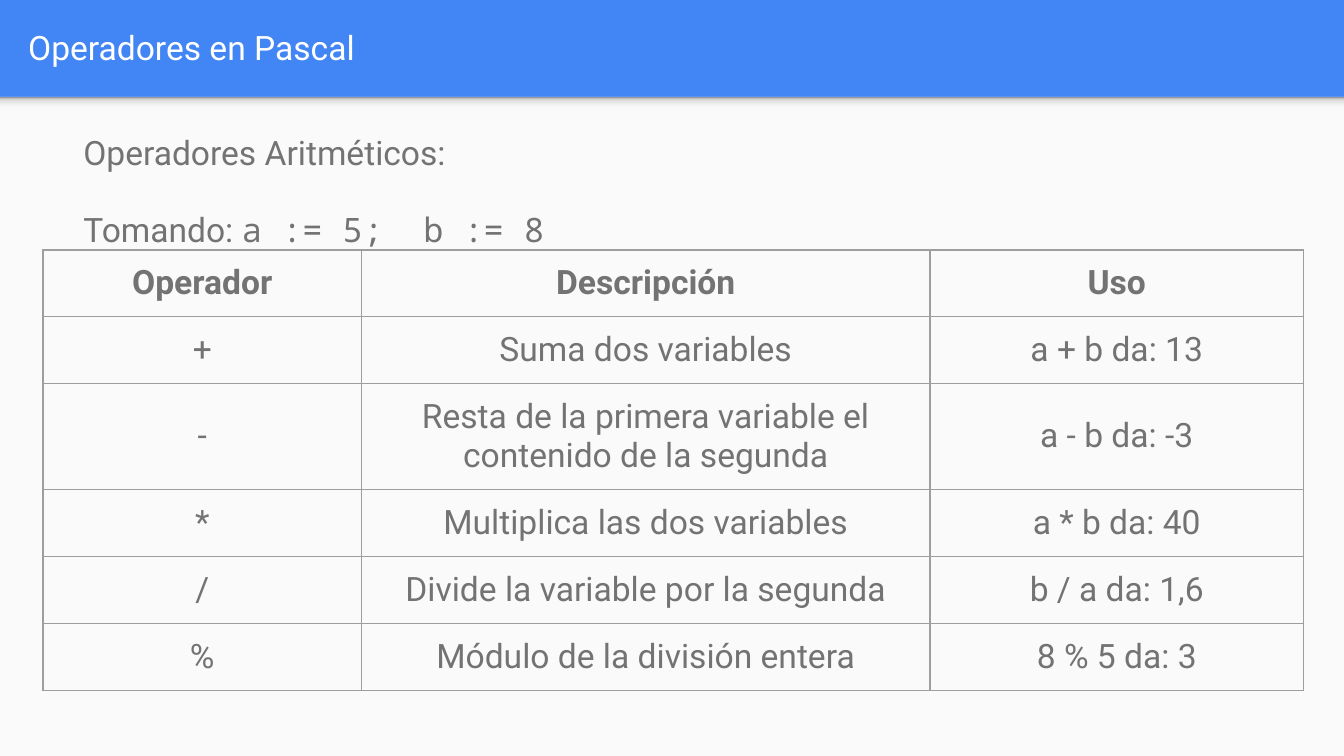
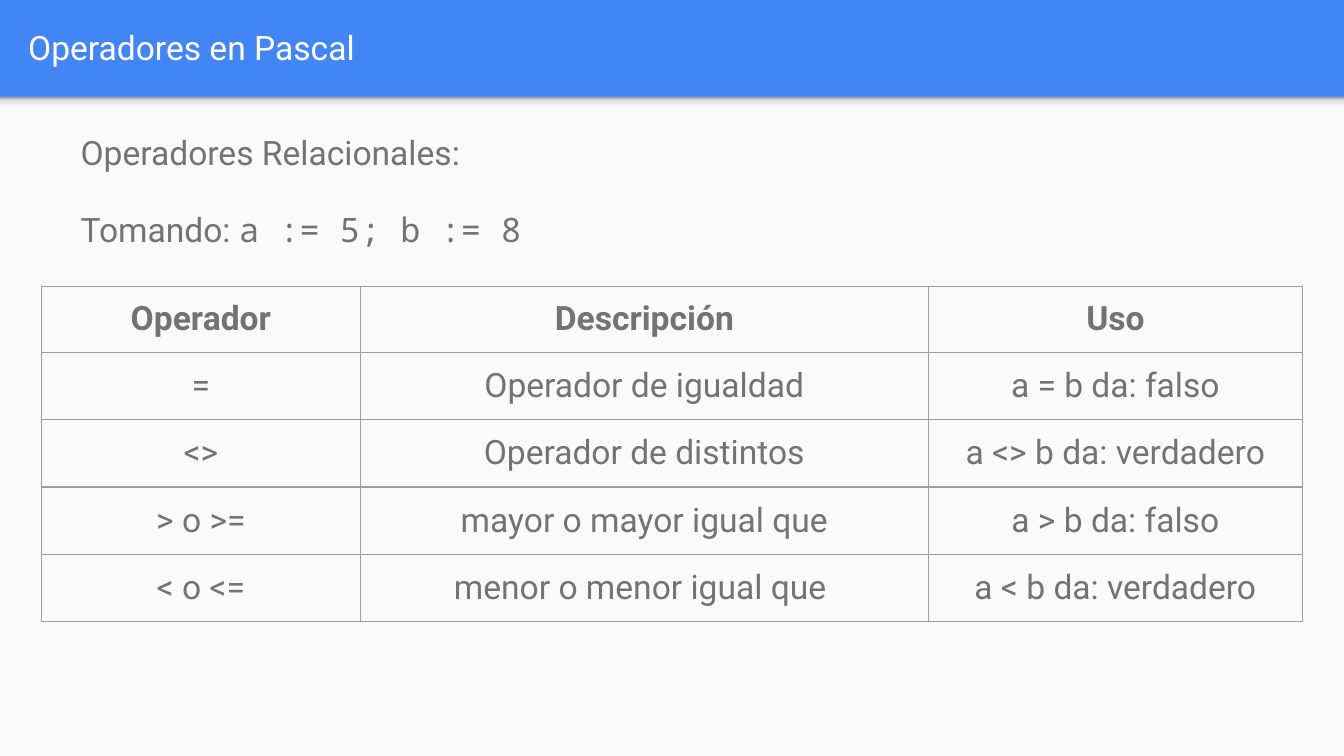
from dataclasses import dataclass
from typing import NamedTuple

from lxml.etree import SubElement
from pptx import Presentation
from pptx.dml.color import RGBColor
from pptx.enum.shapes import MSO_SHAPE
from pptx.enum.text import MSO_ANCHOR, MSO_AUTO_SIZE, PP_ALIGN
from pptx.oxml.ns import qn
from pptx.util import Inches, Pt

# Theme
BLUE, PAPER, GREY, WHITE, RULE = "4285F4", "FAFAFA", "737373", "FFFFFF", "9E9E9E"
SHADE = ((0, "F9F9F9"), (36, "F9F9F9"), (80, "DEDEDE"), (100, "999999"))
SANS, MONO = "Roboto", "Noto Sans Mono"
TEXT_SIZE = 18

# Square grid: 100 columns across, 56.25 rows down
COLS, ROWS = 100, 56.25
WIDTH = Inches(10)
UNIT = WIDTH / COLS
BAND = 7.2
PAD = 1
TABLE_COLS = (23.7, 42.3, 27.8)
HEAD_ROW, BODY_ROW = 4.2, 5


def grid(n: float) -> int:
    return round(n * UNIT)


def color(value: str) -> RGBColor:
    return RGBColor.from_string(value)


class Box(NamedTuple):
    left: float
    top: float
    width: float
    height: float

    def emu(self) -> list[int]:
        return [grid(n) for n in self]


@dataclass
class OperatorSlide:
    heading: str
    example: str
    body_left: float
    table_left: float
    table_top: float
    rows: list[tuple[str, str, str]]


TITLE = "Operadores en Pascal"
HEADER = ("Operador", "Descripción", "Uso")
TITLE_BOX = Box(1.1, 0.2, 96.5, 6.6)
SLIDES = [
    OperatorSlide("Operadores Aritméticos:", "a := 5;  b := 8", 5.2, 3.2, 18.6, [
        ("+", "Suma dos variables", "a + b da: 13"),
        ("-", "Resta de la primera variable el contenido de la segunda", "a - b da: -3"),
        ("*", "Multiplica las dos variables", "a * b da: 40"),
        ("/", "Divide la variable por la segunda", "b / a da: 1,6"),
        ("%", "Módulo de la división entera", "8 % 5 da: 3"),
    ]),
    OperatorSlide("Operadores Relacionales:", "a := 5; b := 8", 5, 3.1, 21.3, [
        ("=", "Operador de igualdad", "a = b da: falso"),
        ("<>", "Operador de distintos", "a <> b da: verdadero"),
        ("> o >=", "mayor o mayor igual que", "a > b da: falso"),
        ("< o <=", "menor o menor igual que ", "a < b da: verdadero"),
    ]),
]


def add_run(p, text: str, font: str = SANS, ink: str = GREY, bold: bool = False) -> None:
    r = p.add_run()
    r.text = text
    r.font.name, r.font.size, r.font.bold = font, Pt(TEXT_SIZE), bold
    r.font.color.rgb = color(ink)


def place(sp, box: Box, anchor: MSO_ANCHOR):
    """Position a placeholder and prepare its text frame."""
    sp.left, sp.top, sp.width, sp.height = box.emu()
    tf = sp.text_frame
    tf.word_wrap, tf.auto_size, tf.vertical_anchor = True, MSO_AUTO_SIZE.NONE, anchor
    tf.margin_left = tf.margin_right = tf.margin_top = tf.margin_bottom = grid(PAD)
    return tf


def add_rect(slide, box: Box):
    sp = slide.shapes.add_shape(MSO_SHAPE.RECTANGLE, *box.emu())
    sp.shadow.inherit = False
    sp.line.fill.background()
    return sp


def fill_gradient(sp, stops) -> None:
    sp.fill.gradient()
    sp.fill.gradient_angle = 90
    gs_list = sp.fill._fill._gradFill.find(qn("a:gsLst"))
    for gs in list(gs_list):
        gs_list.remove(gs)
    for pos, value in stops:
        gs = SubElement(gs_list, qn("a:gs"), pos=str(pos * 1000))
        SubElement(gs, qn("a:srgbClr"), val=value)


def dress_layout(layout, slide) -> None:
    """Set the background and move the panel and its shade to the layout."""
    fill = layout.background.fill
    fill.solid()
    fill.fore_color.rgb = color(BLUE)

    panel = add_rect(slide, Box(0, BAND, COLS, ROWS - BAND))
    panel.fill.solid()
    panel.fill.fore_color.rgb = color(PAPER)
    shade = add_rect(slide, Box(0, BAND, COLS, 1.2))
    fill_gradient(shade, SHADE)
    for i, sp in enumerate((panel, shade)):
        sp._element.nvSpPr.cNvPr.set("id", str(100 + i))
        layout.shapes._spTree.insert(2 + i, sp._element)


def add_borders(cell) -> None:
    tc_pr = cell._tc.get_or_add_tcPr()
    for side in ("lnL", "lnR", "lnT", "lnB"):
        ln = SubElement(tc_pr, qn(f"a:{side}"), w=str(Pt(0.75)))
        fill = SubElement(ln, qn("a:solidFill"))
        SubElement(fill, qn("a:srgbClr"), val=RULE)


def add_operator_table(slide, spec_: OperatorSlide) -> None:
    rows = [HEADER, *spec_.rows]
    heights = [HEAD_ROW] + [BODY_ROW] * len(spec_.rows)
    box = Box(spec_.table_left, spec_.table_top, sum(TABLE_COLS), sum(heights))
    table = slide.shapes.add_table(len(rows), len(HEADER), *box.emu()).table
    table.first_row = table.horz_banding = False
    for column, width in zip(table.columns, TABLE_COLS):
        column.width = grid(width)
    for i, (texts, height) in enumerate(zip(rows, heights)):
        table.rows[i].height = grid(height)
        for j, text in enumerate(texts):
            cell = table.cell(i, j)
            add_borders(cell)
            cell.fill.background()
            cell.vertical_anchor = MSO_ANCHOR.MIDDLE
            cell.margin_left = cell.margin_right = grid(PAD)
            cell.margin_top = cell.margin_bottom = grid(PAD)
            p = cell.text_frame.paragraphs[0]
            p.alignment = PP_ALIGN.CENTER
            add_run(p, text, bold=i == 0)


def add_body_line(p, gap: float, *runs: tuple[str, str]) -> None:
    p.line_spacing = 1.15
    p.space_before = p.space_after = Pt(gap)
    p_pr = p._p.get_or_add_pPr()
    p_pr.set("marL", "0")
    p_pr.set("indent", "0")
    SubElement(p_pr, qn("a:buNone"))
    for text, font in runs:
        add_run(p, text, font)


def fill_slide(slide, content: OperatorSlide) -> None:
    # Title
    p = place(slide.shapes.title, TITLE_BOX, MSO_ANCHOR.MIDDLE).paragraphs[0]
    p.alignment = PP_ALIGN.LEFT
    add_run(p, TITLE, ink=WHITE)

    # Heading and sample values
    body_box = Box(content.body_left, 8.4, 89.9, 46.5)
    tf = place(slide.placeholders[1], body_box, MSO_ANCHOR.TOP)
    add_body_line(tf.paragraphs[0], 0, (content.heading, SANS))
    add_body_line(tf.add_paragraph(), 16, ("Tomando: ", SANS), (content.example, MONO))

    # Operators
    add_operator_table(slide, content)


def main() -> None:
    prs = Presentation()
    prs.slide_width, prs.slide_height = WIDTH, grid(ROWS)
    layout = prs.slide_layouts[1]
    slides = [prs.slides.add_slide(layout) for _ in SLIDES]
    dress_layout(layout, slides[0])
    for slide, content in zip(slides, SLIDES):
        fill_slide(slide, content)
    prs.save("out.pptx")


if __name__ == "__main__":
    main()
